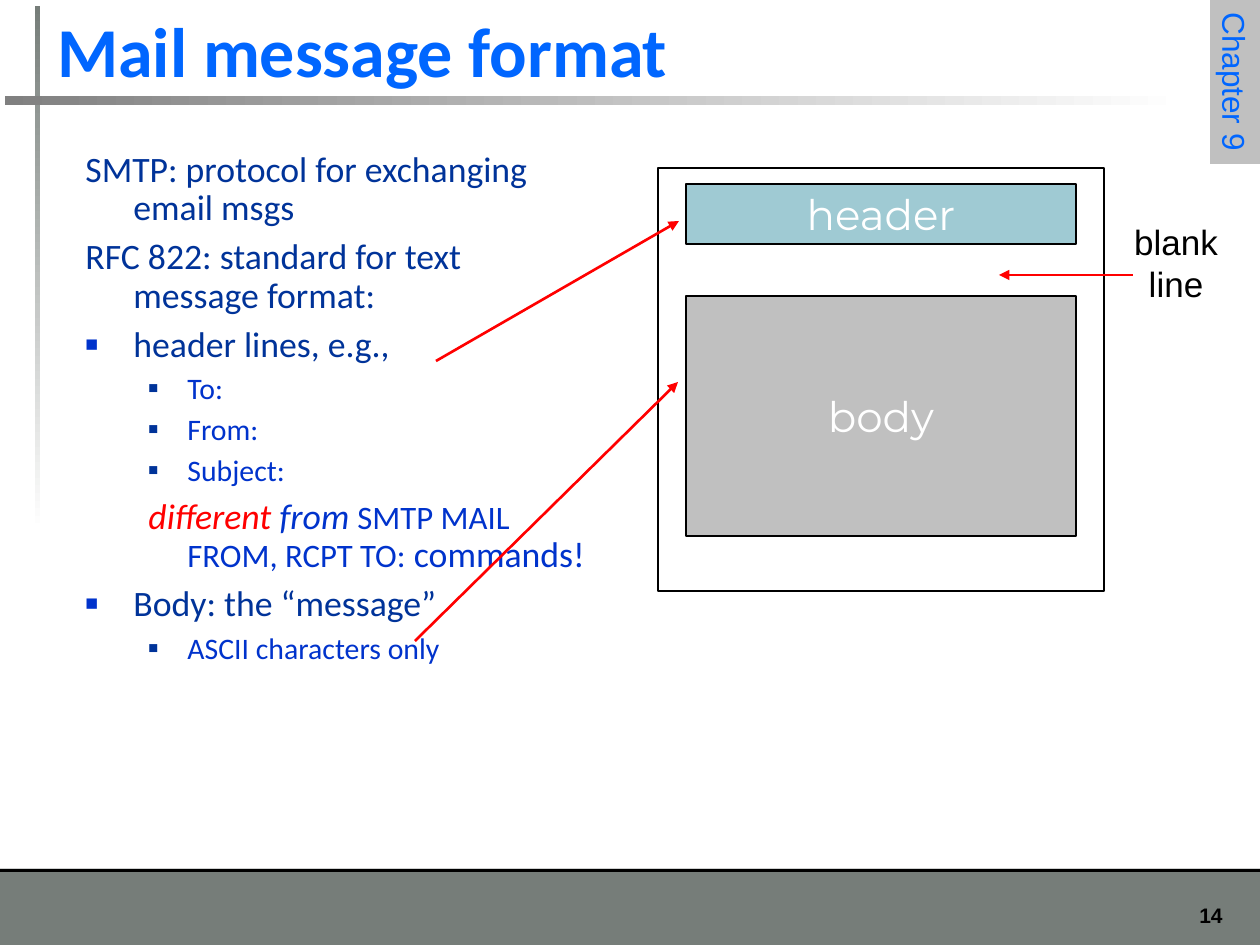
import pptx
import pptx.dml.color
import pptx.enum.shapes
import pptx.enum.text
import pptx.oxml
import pptx.oxml.ns
import pptx.util
from dataclasses import dataclass

SCALE = 914400 / 126  # EMU in one px
ALIGN = pptx.enum.text.PP_ALIGN
ANCHOR = pptx.enum.text.MSO_ANCHOR


@dataclass(frozen=True)
class Theme:
    heading: str = "Calibri"
    label: str = "Arial"
    block: str = "Montserrat"
    bright: str = "0066FF"
    navy: str = "003399"
    blue: str = "0033CC"
    red: str = "FF0000"
    black: str = "000000"
    white: str = "FFFFFF"
    slate: str = "767D79"
    gray: str = "808080"
    silver: str = "C0C0C0"
    teal: str = "9FCAD3"
    title_size: float = 40
    block_size: float = 24
    note_size: float = 20
    body_size: float = 20.4
    command_size: float = 18.7
    sub_size: float = 17
    tab_size: float = 18
    number_size: float = 12


T = Theme()


def px(n):
    return pptx.util.Emu(round(n * SCALE))


def rgb(color):
    return pptx.dml.color.RGBColor.from_string(color)


def add_run(p, text, font=T.heading, size=T.body_size, color=T.navy, bold=False, italic=False):
    r = p.add_run()
    r.text = text
    r.font.name, r.font.size = font, pptx.util.Pt(size)
    r.font.bold, r.font.italic = bold, italic
    r.font.color.rgb = rgb(color)


def set_text(s, *lines, align=ALIGN.LEFT, anchor=ANCHOR.TOP, wrap=True, **fmt):
    """Fill a shape with one paragraph for each line."""
    tf = s.text_frame
    tf.word_wrap, tf.vertical_anchor = wrap, anchor
    for i, line in enumerate(lines):
        p = tf.add_paragraph() if i else tf.paragraphs[0]
        p.alignment = align
        add_run(p, line, **fmt)


def add_box(slide, x, y, w, h):
    return slide.shapes.add_textbox(px(x), px(y), px(w), px(h))


def add_rect(slide, x, y, w, h, fill=None, line=None):
    s = slide.shapes.add_shape(pptx.enum.shapes.MSO_SHAPE.RECTANGLE, px(x), px(y), px(w), px(h))
    s.shadow.inherit = False
    if fill:
        s.fill.solid()
        s.fill.fore_color.rgb = rgb(fill)
    else:
        s.fill.background()
    if line:
        s.line.color.rgb = rgb(T.black)
        s.line.width = pptx.util.Pt(line)
    else:
        s.line.fill.background()
    return s


def add_fading_rule(slide, x, y, w, h, color, angle):
    s = add_rect(slide, x, y, w, h)
    s.fill.gradient()
    s.fill.gradient_angle = angle
    for stop, c in zip(s.fill.gradient_stops, (color, T.white)):
        stop.color.rgb = rgb(c)


def add_arrow(slide, x1, y1, x2, y2):
    c = slide.shapes.add_connector(
        pptx.enum.shapes.MSO_CONNECTOR.STRAIGHT, px(x1), px(y1), px(x2), px(y2))
    c.line.color.rgb = rgb(T.red)
    c.line.width = pptx.util.Pt(1.5)
    ns = pptx.oxml.ns.nsdecls("a")
    c.line._get_or_add_ln().append(pptx.oxml.parse_xml(f'<a:tailEnd {ns} type="triangle"/>'))
    c._element.spPr.append(pptx.oxml.parse_xml(f"<a:effectLst {ns}/>"))


def format_point(p, level, bullet, first):
    """Set the indent, spacing and optional square bullet of a level."""
    margin, hang, color, percent = [(48, 48, T.blue, 60), (102, 39, T.navy, 55)][level]
    pPr = p._p.get_or_add_pPr()
    pPr.set("marL", str(px(margin)))
    pPr.set("indent", str(-px(hang)))
    p.level = level
    p.line_spacing = 0.9
    if not first:
        p.space_before = pptx.util.Pt(5 if level and bullet else 6)
    ns = pptx.oxml.ns.nsdecls("a")
    marks = [
        f'<a:buClr {ns}><a:srgbClr val="{color}"/></a:buClr>',
        f'<a:buSzPct {ns} val="{percent * 1000}"/>',
        f'<a:buFont {ns} typeface="{T.label}"/>',
        f'<a:buChar {ns} char="■"/>',
    ] if bullet else [f"<a:buNone {ns}/>"]
    for mark in marks:
        pPr.append(pptx.oxml.parse_xml(mark))


def draw_frame(slide, x, y, w, h):
    """Footer, page number, crossed rules and chapter tab."""
    footer_y = y + h - 76
    add_rect(slide, x, footer_y, w, 76, T.slate)
    add_rect(slide, x, footer_y, w, 3, T.black)
    set_text(add_box(slide, x + w - 105, footer_y + 27, 80, 38), "14", align=ALIGN.RIGHT,
             font=T.label, size=T.number_size, color=T.black, bold=True)
    add_fading_rule(slide, x + 35, y + 6, 5, 525, T.slate, 270)
    add_fading_rule(slide, x + 5, y + 96, 1180, 9, T.gray, 0)
    tab = add_rect(slide, x + w - 107, y + 57, 164, 50, T.silver)
    tab.rotation = 90
    set_text(tab, "Chapter 9", wrap=False, font=T.label, size=T.tab_size, color=T.bright)


def draw_title(slide, x, y, w, h):
    set_text(add_box(slide, x, y, w, h), "Mail message format", anchor=ANCHOR.BOTTOM,
             size=T.title_size, color=T.bright, bold=True)


def draw_points(slide, x, y, w, h):
    main, sub = {}, {"size": T.sub_size, "color": T.blue}
    points = [  # level, bullet, runs
        (0, False, [("SMTP: protocol for exchanging email msgs", main)]),
        (0, False, [("RFC 822: standard for text message format:", main)]),
        (0, True, [("header lines, e.g.,", main)]),
        (1, True, [("To:", sub)]),
        (1, True, [("From:", sub)]),
        (1, True, [("Subject:", sub)]),
        (1, False, [
            ("different ", {"color": T.red, "italic": True}),
            ("from ", {"color": T.blue, "italic": True}),
            ("SMTP MAIL FROM, RCPT TO:", {"color": T.blue, "size": T.command_size}),
            (" commands!", {"color": T.blue}),
        ]),
        (0, True, [("Body: the “message”", main)]),
        (1, True, [("ASCII characters only", sub)]),
    ]
    tf = add_box(slide, x, y, w, h).text_frame
    tf.word_wrap = True
    for i, (level, bullet, runs) in enumerate(points):
        p = tf.add_paragraph() if i else tf.paragraphs[0]
        format_point(p, level, bullet, first=i == 0)
        for text, fmt in runs:
            add_run(p, text, **fmt)


def draw_message(slide, x, y, w, h):
    """Message outline with its header, blank line and body, and their arrows."""
    for name, top, height, fill in (("header", 16, 60, T.teal), ("body", 128, 240, T.silver)):
        s = add_rect(slide, x + 28, y + top, w - 56, height, fill, 0.75)
        set_text(s, name, align=ALIGN.CENTER, anchor=ANCHOR.MIDDLE, wrap=False,
                 font=T.block, size=T.block_size, color=T.white)
    add_rect(slide, x, y, w, h, line=1)
    add_arrow(slide, x - 222, y + 193, x + 21, y + 53)
    add_arrow(slide, x - 243, y + 473, x + 20, y + 214)
    set_text(add_box(slide, x + w + 12, y + 46, 120, 97), "blank", "line", align=ALIGN.CENTER,
             wrap=False, font=T.label, size=T.note_size, color=T.black)
    add_arrow(slide, x + w + 29, y + 107, x + w - 105, y + 107)


def main():
    prs = pptx.Presentation()
    prs.slide_width, prs.slide_height = px(1260), px(945)
    slide = prs.slides.add_slide(prs.slide_layouts[6])
    draw_frame(slide, 0, 0, 1260, 945)
    draw_title(slide, 45, 0, 1071, 98)
    draw_points(slide, 73, 145, 525, 640)
    draw_message(slide, 658, 168, 446, 423)
    prs.save("out.pptx")


if __name__ == "__main__":
    main()
